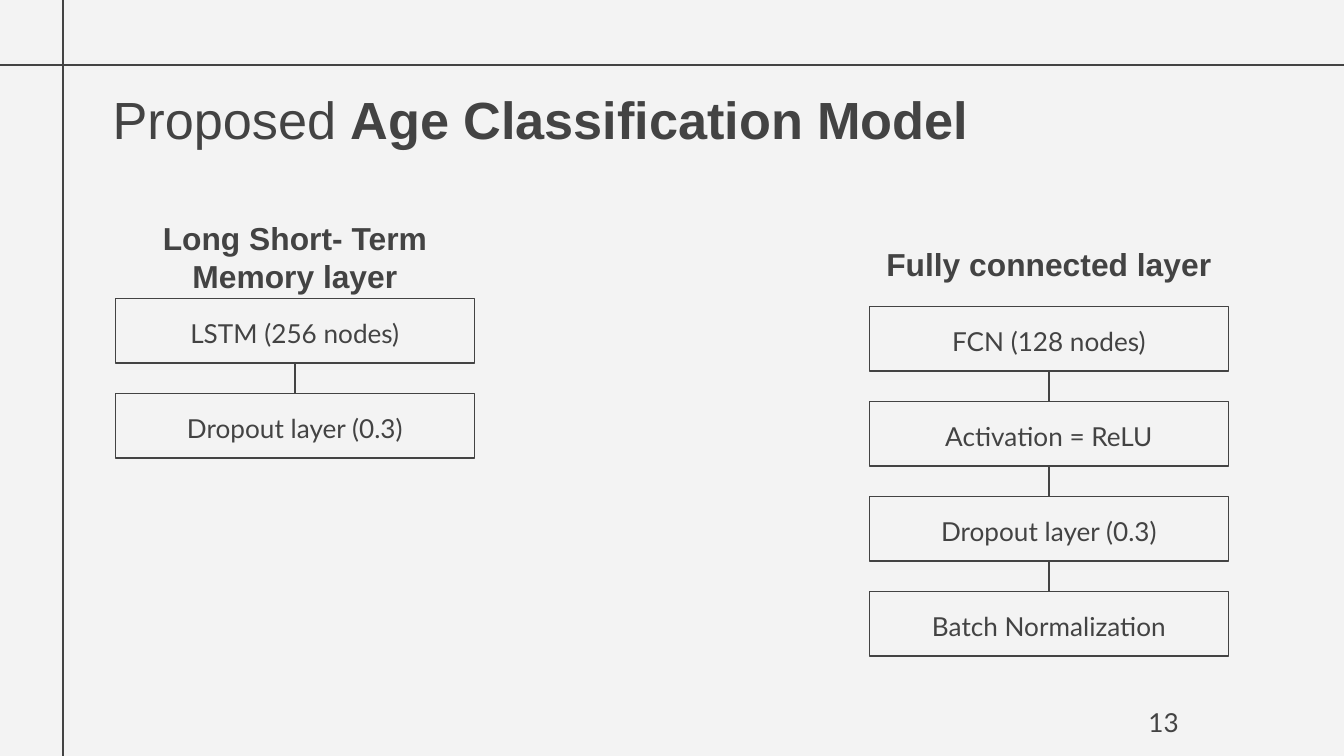
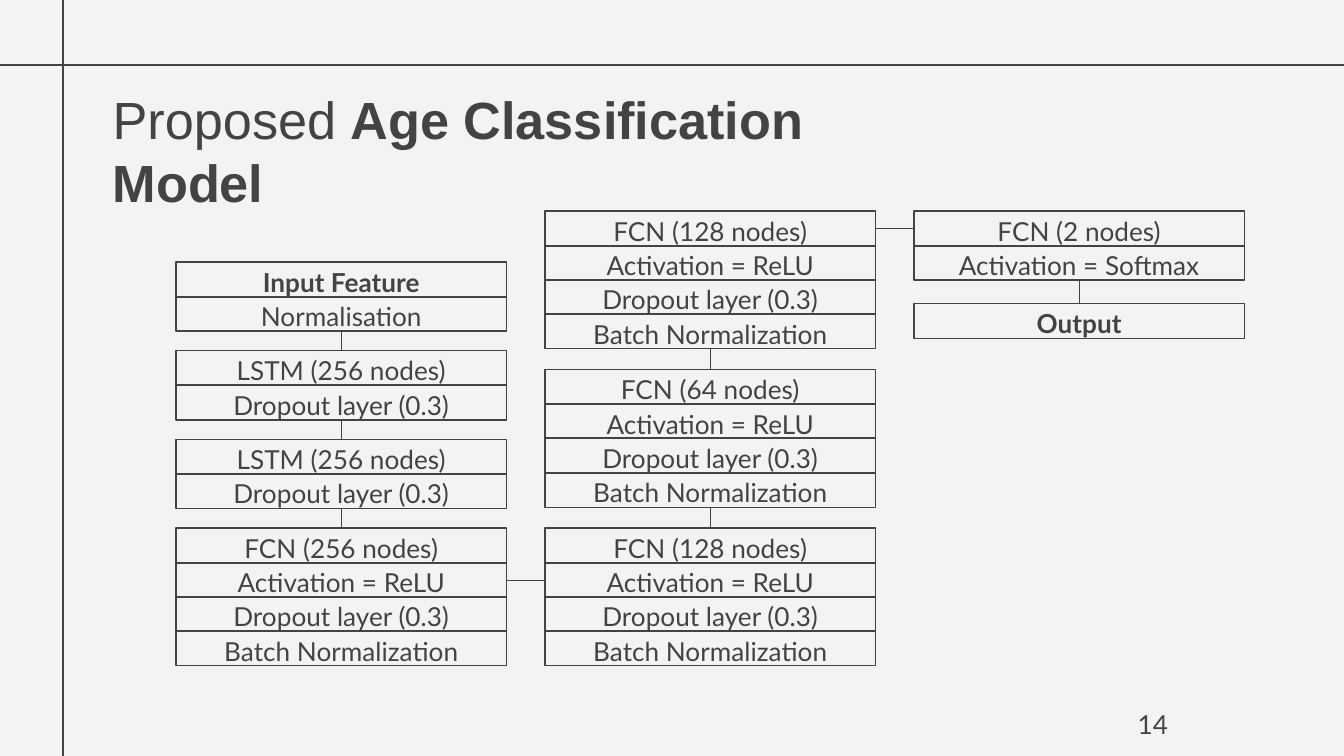
from pptx import Presentation
from pptx.dml.color import RGBColor
from pptx.enum.shapes import MSO_CONNECTOR, MSO_SHAPE
from pptx.enum.text import MSO_ANCHOR, PP_ALIGN
from pptx.oxml.ns import qn
from pptx.util import Inches, Pt
from lxml.etree import SubElement

PAPER = RGBColor(0xF3, 0xF3, 0xF3)
INK = RGBColor(0x43, 0x43, 0x43)
LINK = RGBColor(0x42, 0x42, 0x42)

COLS, ROWS = 100, 56.25
CELL = Inches(10) / COLS

PAD = Inches(0.1)
FRAME = {"word_wrap": True, "margin_left": PAD, "margin_right": PAD,
         "margin_top": PAD, "margin_bottom": PAD}
TITLE = {"name": "Arial", "size": Pt(28)}
HEAD = {"name": "Arial", "size": Pt(17)}
BODY = {"name": "Lato", "size": Pt(14)}

RELU = "Activation = ReLU"
DROP = "Dropout layer (0.3)"
NORM = "Batch Normalization"
INPUT, OUTPUT = "Input Feature", "Output"
STRONG = {INPUT, OUTPUT}


def cells(*counts):
    return [round(count * CELL) for count in counts]


def assign(target, values):
    for name, value in values.items():
        setattr(target, name, value)


def write(shape, runs, font, para, anchor=MSO_ANCHOR.MIDDLE):
    frame = shape.text_frame
    assign(frame, {**FRAME, "vertical_anchor": anchor})
    line = frame.paragraphs[0]
    assign(line, para)
    for text, bold in runs:
        run = line.add_run()
        run.text = text
        assign(run.font, {**font, "bold": bold})
        run.font.color.rgb = INK


def label(slide, box, runs, font, align, anchor=MSO_ANCHOR.TOP):
    shape = slide.shapes.add_textbox(*cells(*box))
    write(shape, runs, font, {"alignment": align}, anchor)


def link(slide, start, end, tone=LINK):
    line = slide.shapes.add_connector(
        MSO_CONNECTOR.STRAIGHT, *cells(*start, *end))
    line.line.color.rgb = tone
    line.line.width = Pt(0.75)
    SubElement(line._element.spPr, qn("a:effectLst"))


def layer(home, box, text):
    shape = home.add_shape(MSO_SHAPE.RECTANGLE, *cells(*box))
    shape.shadow.inherit = False
    shape.fill.background()
    shape.line.color.rgb = INK
    shape.line.width = Pt(0.75)
    write(shape, [(text, text in STRONG)], BODY,
          {"alignment": PP_ALIGN.CENTER, "line_spacing": 1.15})


def stack(slide, box, blocks, pitch, step=0, tone=LINK):
    left, top, wide, tall = box
    mid = left + wide / 2
    for place, block in enumerate(blocks):
        start = top + place * pitch
        home = slide.shapes
        if len(block) > 1:
            home = home.add_group_shape().shapes
        for row, text in enumerate(block):
            layer(home, (left, start + row * step, wide, tall), text)
        if place < len(blocks) - 1:
            foot = start + (len(block) - 1) * step + tall
            link(slide, (mid, foot), (mid, start + pitch), tone)


def base(deck, box, page, number):
    slide = deck.slides.add_slide(deck.slide_layouts[6])
    slide.background.fill.solid()
    slide.background.fill.fore_color.rgb = PAPER
    link(slide, (0, 4.85), (COLS, 4.85), INK)
    link(slide, (4.7, 0), (4.7, ROWS), INK)
    label(slide, box, [("Proposed ", False), ("Age Classification Model", True)],
          TITLE, PP_ALIGN.LEFT)
    label(slide, (*page, 6, 4.3), [(number, False)], BODY, PP_ALIGN.RIGHT)
    return slide


def part(slide, box, name, gap, texts):
    left, top, wide, tall = box
    label(slide, (left, top, wide, 5.2), [(name, True)], HEAD,
          PP_ALIGN.CENTER, MSO_ANCHOR.MIDDLE)
    stack(slide, (left, top + gap, wide, tall), [[text] for text in texts],
          pitch=7.07, tone=INK)


def parts(deck):
    slide = base(deck, (7.4, 5.5, 86.7, 5.3), (82.7, 51.6), "13")
    part(slide, (8.6, 16.5, 26.7, 4.8), "Long Short- Term Memory layer", 5.7,
         ["LSTM (256 nodes)", DROP])
    part(slide, (64.7, 17, 26.7, 4.8), "Fully connected layer", 5.8,
         ["FCN (128 nodes)", RELU, DROP, NORM])


def model(deck):
    slide = base(deck, (7.4, 5.5, 56.1, 15.9), (81.9, 51.7), "14")
    wide, tall, step = 24.6, 2.6, 2.55
    first, second, third = [13.1 + 27.45 * col for col in range(3)]
    high = 15.7

    def dense(nodes):
        return [f"FCN ({nodes} nodes)", RELU, DROP, NORM]

    lstm = ["LSTM (256 nodes)", DROP]
    for left, top, pitch, blocks in [
        (first, 19.5, 6.6, [[INPUT, "Normalisation"], lstm, lstm, dense(256)]),
        (second, high, 11.8, [dense(128), dense(64), dense(128)]),
        (third, high, 6.9, [["FCN (2 nodes)", "Activation = Softmax"], [OUTPUT]]),
    ]:
        stack(slide, (left, top, wide, tall), blocks, pitch, step)
    for left, right, row in [(first, second, 43.2), (second, third, 17)]:
        link(slide, (left + wide, row), (right, row))


def main():
    deck = Presentation()
    wide, tall = cells(COLS, ROWS)
    assign(deck, {"slide_width": wide, "slide_height": tall})
    parts(deck)
    model(deck)
    deck.save("out.pptx")


if __name__ == "__main__":
    main()
